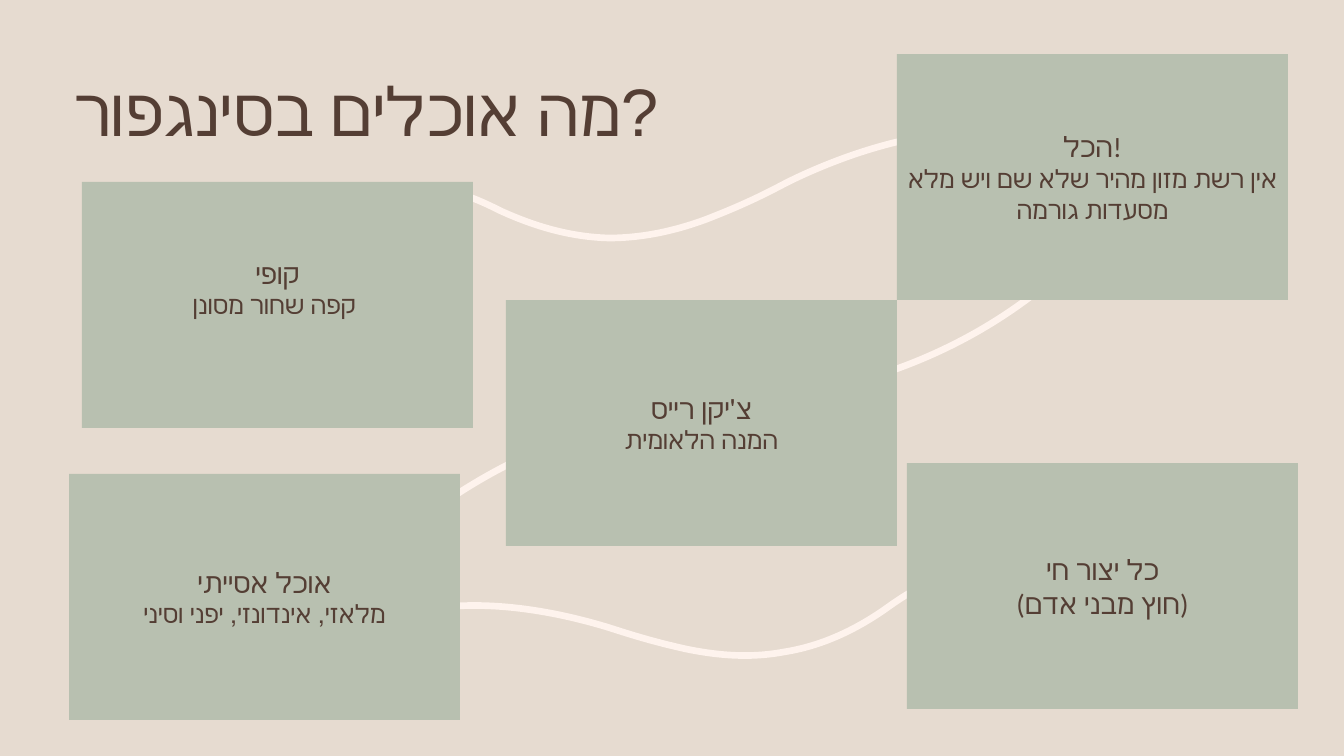
from pptx import Presentation
from pptx import util as u
from pptx.dml.color import RGBColor
from pptx.enum import shapes, text
from pptx.oxml.ns import qn

PX = 914400 / 100.8
SAND = RGBColor(0xE6, 0xDB, 0xD0)
SAGE = RGBColor(0xB8, 0xC0, 0xB0)
CREAM = RGBColor(0xFE, 0xF3, 0xED)
BROWN = RGBColor(0x54, 0x3E, 0x34)

CARD_SIZE = (391, 246)
INSET = 10

TRAILS = [
    [(840, 386), (921, 366), (993, 330), (1055, 277)],
    [(589, 431), (513, 456), (449, 494), (392, 543)],
    [(309, 225), (353, 188), (401, 178), (453, 192),
     (470, 196), (485, 203), (501, 211),
     (534, 226), (570, 237), (609, 238),
     (642, 238), (675, 231), (707, 219),
     (743, 205), (763, 195), (784, 184),
     (807, 172), (948, 104), (1035, 147)],
    [(927, 584), (911, 591), (898, 600), (884, 610),
     (855, 630), (822, 646), (784, 652),
     (752, 658), (720, 656), (686, 649),
     (650, 641), (629, 634), (607, 627),
     (583, 620), (437, 575), (350, 641)],
]

DISHES = [
    ((82, 182), "קופי", "קפה שחור מסונן ", 18, 34),
    ((897, 54), "הכל!", "אין רשת מזון מהיר שלא שם ויש מלא מסעדות גורמה", 18, 0),
    ((506, 300), "צ'יקן רייס", "המנה הלאומית", 18, 0),
    ((69, 474), "אוכל אסייתי", "מלאזי, אינדונזי, יפני וסיני", 18, 0),
    ((907, 463), "כל יצור חי", "(חוץ מבני אדם)", 20, 0),
]


def px(length):
    """Turn pixels into EMU."""
    return u.Emu(round(length * PX))


def add_run(paragraph, words, size, font):
    """Add a brown run of text."""
    run = paragraph.add_run()
    run.text = words
    run.font.size = u.Pt(size)
    run.font.name = font
    run.font.color.rgb = BROWN


def bend(wave):
    """Join each three straight segments into one cubic curve."""
    segments = list(wave._element.iter(qn("a:lnTo")))
    for first in range(0, len(segments), 3):
        curve = wave._element.makeelement(qn("a:cubicBezTo"), {})
        segments[first].addprevious(curve)
        for segment in segments[first:first + 3]:
            curve.append(segment[0])
            segment.getparent().remove(segment)


def add_trail(slide, trail):
    """Draw one open wavy line."""
    corners = [(px(x), px(y)) for x, y in trail]
    builder = slide.shapes.build_freeform(*corners[0])
    builder.add_line_segments(corners[1:], close=False)
    wave = builder.convert_to_shape()
    bend(wave)
    wave.shadow.inherit = False
    wave.fill.background()
    wave.line.color.rgb = CREAM
    wave.line.width = u.Pt(4.75)


def add_heading(slide, words):
    """Place and fill the title."""
    heading = slide.shapes.title
    heading.left, heading.top, heading.width, heading.height = map(
        px, (64, 78, 1008, 74))
    heading.text_frame.vertical_anchor = text.MSO_ANCHOR.MIDDLE
    paragraph = heading.text_frame.paragraphs[0]
    paragraph.alignment = text.PP_ALIGN.LEFT
    paragraph.line_spacing = 0.9
    add_run(paragraph, words, 48, "Arial")


def add_card(slide, corner, dish, detail, detail_size, lift):
    """Add a sage card with a dish and its detail line."""
    card = slide.shapes.add_shape(
        shapes.MSO_SHAPE.RECTANGLE, *map(px, corner + CARD_SIZE))
    card.shadow.inherit = False
    card.fill.solid()
    card.fill.fore_color.rgb = SAGE
    card.line.fill.background()
    frame = card.text_frame
    frame.word_wrap = True
    frame.vertical_anchor = text.MSO_ANCHOR.MIDDLE
    frame.margin_left = frame.margin_right = px(INSET)
    frame.margin_top = px(INSET // 2)
    frame.margin_bottom = px(INSET // 2 + lift)
    lines = (frame.paragraphs[0], frame.add_paragraph())
    for line, words, size in zip(lines, (dish, detail), (20, detail_size)):
        line.alignment = text.PP_ALIGN.CENTER
        add_run(line, words, size, "Calibri")


def main():
    """Build the slide about food in Singapore."""
    deck = Presentation()
    deck.slide_width, deck.slide_height = px(1344), px(756)
    slide = deck.slides.add_slide(deck.slide_layouts.get_by_name("Title Only"))
    slide.background.fill.solid()
    slide.background.fill.fore_color.rgb = SAND
    for trail in TRAILS:
        add_trail(slide, trail)
    add_heading(slide, "מה אוכלים בסינגפור?")
    for dish in DISHES:
        add_card(slide, *dish)
    deck.save("out.pptx")


if __name__ == "__main__":
    main()
